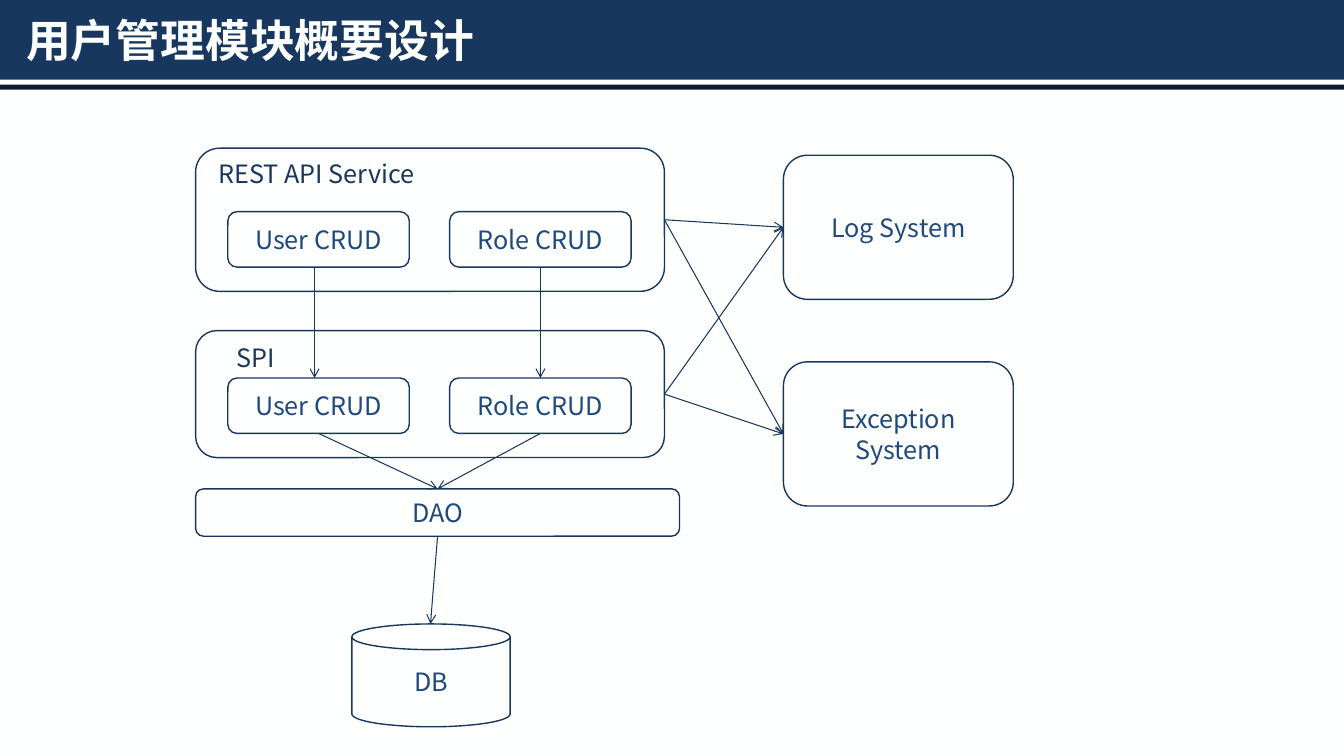
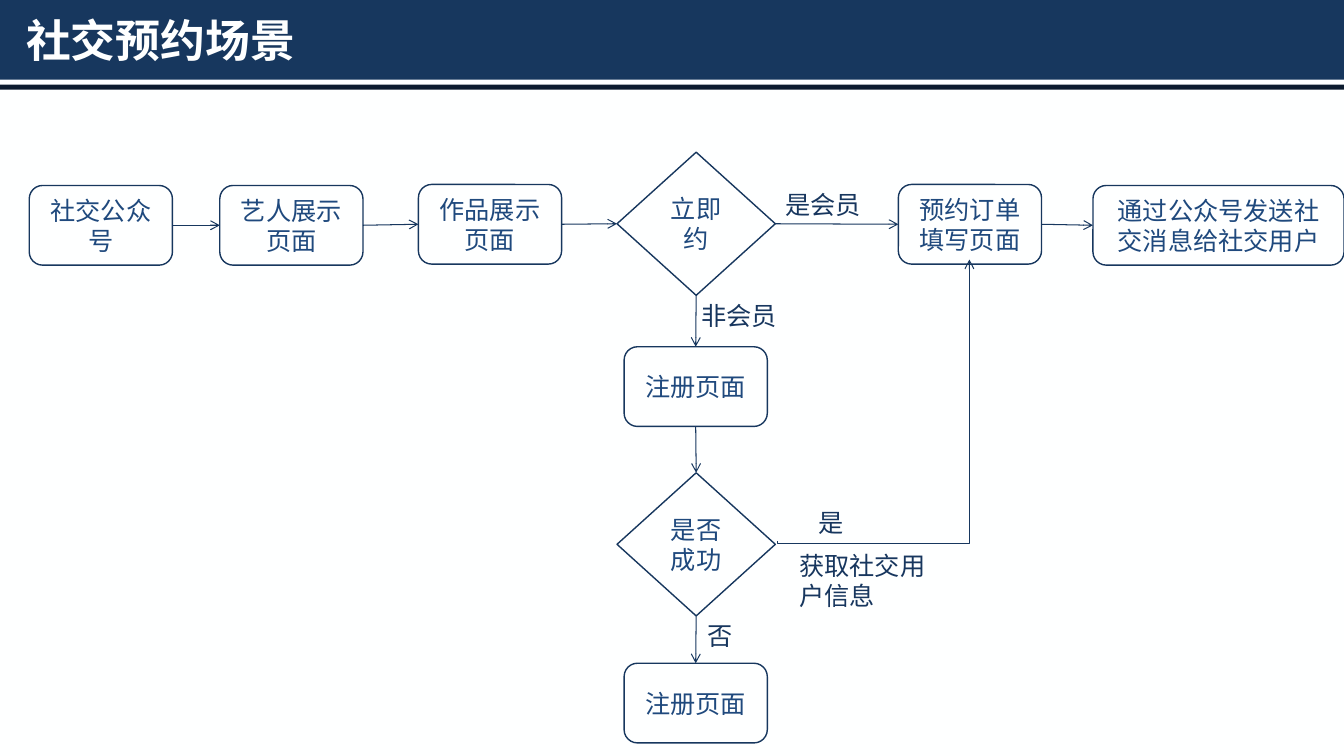
from pptx import Presentation
from pptx.util import Inches, Pt
from pptx.dml.color import RGBColor as Rgb
from pptx.enum.shapes import MSO_SHAPE as Kind, MSO_CONNECTOR as Wire
from pptx.enum.text import PP_ALIGN as Align, MSO_ANCHOR as Anchor, MSO_AUTO_SIZE as Fit
from pptx.oxml.ns import qn
from lxml.etree import SubElement as add_sub

HUES = {"paper": "FEFFFF", "navy": "17375E", "dark": "0C1B2F",
        "label": "17365E", "node": "1F497D"}
FACE = "Noto Sans CJK SC"
TITLE = {"size": Pt(32), "bold": True, "name": FACE}
BODY = {"size": Pt(18), "name": FACE}
TOP, LEFT, BASE, RIGHT = range(4)
STEP = (1.42, 0.79)
CHOICE = (1.57, 1.42)
CRUD = (1.8, 0.55)
SYSTEM = (2.28, 1.43)


def hue(name):
    return Rgb.from_string(HUES[name])


def apply(item, looks):
    for key, value in looks.items():
        setattr(item, key, value)


def write(shape, text, tint, looks, align=Align.LEFT, **frame):
    apply(shape.text_frame, {"word_wrap": True, **frame})
    para = shape.text_frame.paragraphs[0]
    para.alignment = align
    run = para.add_run()
    run.text = text
    apply(run.font, looks)
    run.font.color.rgb = hue(tint)
    add_sub(run.font._element, qn("a:ea"), typeface=FACE)


def shape(page, kind, at, fill):
    item = page.shapes.add_shape(kind, *map(Inches, at))
    item.shadow.inherit = False
    item.fill.solid()
    item.fill.fore_color.rgb = hue(fill)
    item.line.fill.background()
    return item


def node(page, text, spot, size, kind=Kind.ROUNDED_RECTANGLE):
    item = shape(page, kind, (*spot, *size), "paper")
    item.line.color.rgb = hue("navy")
    item.line.width = Pt(1)
    if text:
        write(item, text, "node", BODY, Align.CENTER, vertical_anchor=Anchor.MIDDLE)
    return item


def label(page, text, *at):
    item = page.shapes.add_textbox(*map(Inches, at))
    write(item, text, "label", BODY, auto_size=Fit.SHAPE_TO_FIT_TEXT)


def arrow(page, start, end, kind=Wire.STRAIGHT):
    item = page.shapes.add_connector(kind, *map(Inches, (*start, *end)))
    item.line.color.rgb = hue("navy")
    item.line.width = Pt(0.75)
    add_sub(item.line._get_or_add_ln(), qn("a:tailEnd"), type="arrow")
    add_sub(item._element.spPr, qn("a:effectLst"))
    return item


def link(page, first, side, last, port):
    item = arrow(page, (0, 0), (1, 1))
    item.begin_connect(first, side)
    item.end_connect(last, port)


def bend(page, start, end):
    item = arrow(page, start, end, Wire.ELBOW)
    item._element.spPr.find(qn("a:xfrm")).set("rot", "5400000")
    geom = item._element.spPr.find(qn("a:prstGeom"))
    add_sub(geom.find(qn("a:avLst")), qn("a:gd"), name="adj1", fmla="val -1000")


def start(deck, title):
    page = deck.slides.add_slide(deck.slide_layouts[6])
    page.background.fill.solid()
    page.background.fill.fore_color.rgb = hue("paper")
    for top, high, fill in ((0, 0.79, "navy"), (0.84, 0.05, "dark")):
        shape(page, Kind.RECTANGLE, (0, top, 13.33, high), fill)
    head = page.shapes.add_textbox(*map(Inches, (0.16, 0.09, 13.02, 0.6)))
    write(head, title, "paper", TITLE, vertical_anchor=Anchor.MIDDLE)
    return page


def layer(page, name, top, high, spot, row):
    panel = node(page, "", (1.94, top), (4.65, high))
    label(page, name, *spot)
    user, role = [node(page, f"{who} CRUD", (left, row), CRUD)
                  for who, left in (("User", 2.26), ("Role", 4.46))]
    return panel, user, role


def module(deck):
    page = start(deck, "用户管理模块概要设计")
    node(page, "DB", (3.49, 6.19), (1.57, 1.02), Kind.CAN)
    rest, _, role = layer(page, "REST API Service", 1.47, 1.42, (2.07, 1.52, 2.2, 0.4), 2.1)
    spi, user, duty = layer(page, "SPI", 3.28, 1.26, (2.25, 3.35, 0.79, 0.4), 3.75)
    dao = node(page, "DAO", (1.94, 4.85), (4.8, 0.47))
    arrow(page, (3.12, 2.65), (3.12, 3.75))
    link(page, role, BASE, duty, TOP)
    for item in (user, duty):
        link(page, item, BASE, dao, TOP)
    arrow(page, (4.34, 5.32), (4.27, 6.19))
    aids = [node(page, f"{name} System", (7.77, top), SYSTEM)
            for name, top in (("Log", 1.54), ("Exception", 3.59))]
    for panel in (rest, spi):
        for aid in aids:
            link(page, panel, RIGHT, aid, LEFT)


def booking(deck):
    page = start(deck, "社交预约场景")
    entry = node(page, "社交公众号", (0.29, 1.84), STEP)
    artist = node(page, "艺人展示页面", (2.18, 1.84), STEP)
    works = node(page, "作品展示页面", (4.15, 1.83), STEP)
    book = node(page, "立即约", (6.12, 1.51), CHOICE, Kind.DIAMOND)
    order = node(page, "预约订单填写页面", (8.91, 1.83), STEP)
    notice = node(page, "通过公众号发送社交消息给社交用户", (10.84, 1.84), (2.49, 0.79))
    signup = node(page, "注册页面", (6.19, 3.44), STEP)
    check = node(page, "是否成功", (6.12, 4.69), CHOICE, Kind.DIAMOND)
    retry = node(page, "注册页面", (6.19, 6.58), STEP)
    across = (entry, artist, works, book, order, notice)
    down = (book, signup, check, retry)
    for chain, side, port in ((across, RIGHT, LEFT), (down, BASE, TOP)):
        for first, last in zip(chain, chain[1:]):
            link(page, first, side, last, port)
    bend(page, (10.06, 4.92), (7.27, 3.02))
    label(page, "否", 6.92, 6.1, 1.37, 0.4)
    label(page, "是", 8.02, 4.98, 0.65, 0.4)
    label(page, "是会员", 7.69, 1.83, 0.98, 0.4)
    label(page, "非会员", 6.86, 2.93, 1.34, 0.4)
    label(page, "获取社交用户信息", 7.83, 5.41, 1.67, 0.71)


def main():
    deck = Presentation()
    apply(deck, {"slide_width": Inches(13.33), "slide_height": Inches(7.5)})
    module(deck)
    booking(deck)
    deck.save("out.pptx")


main()
